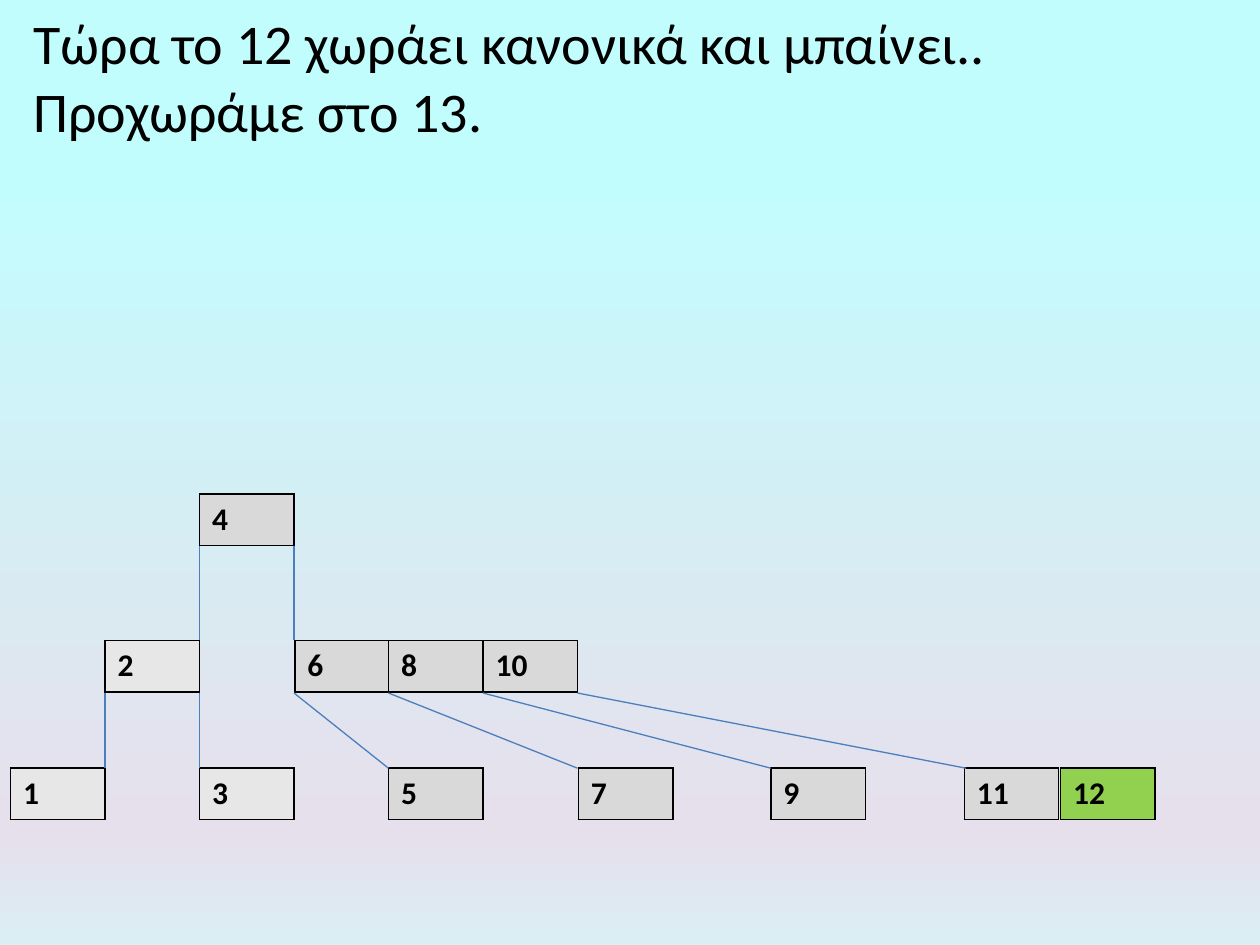
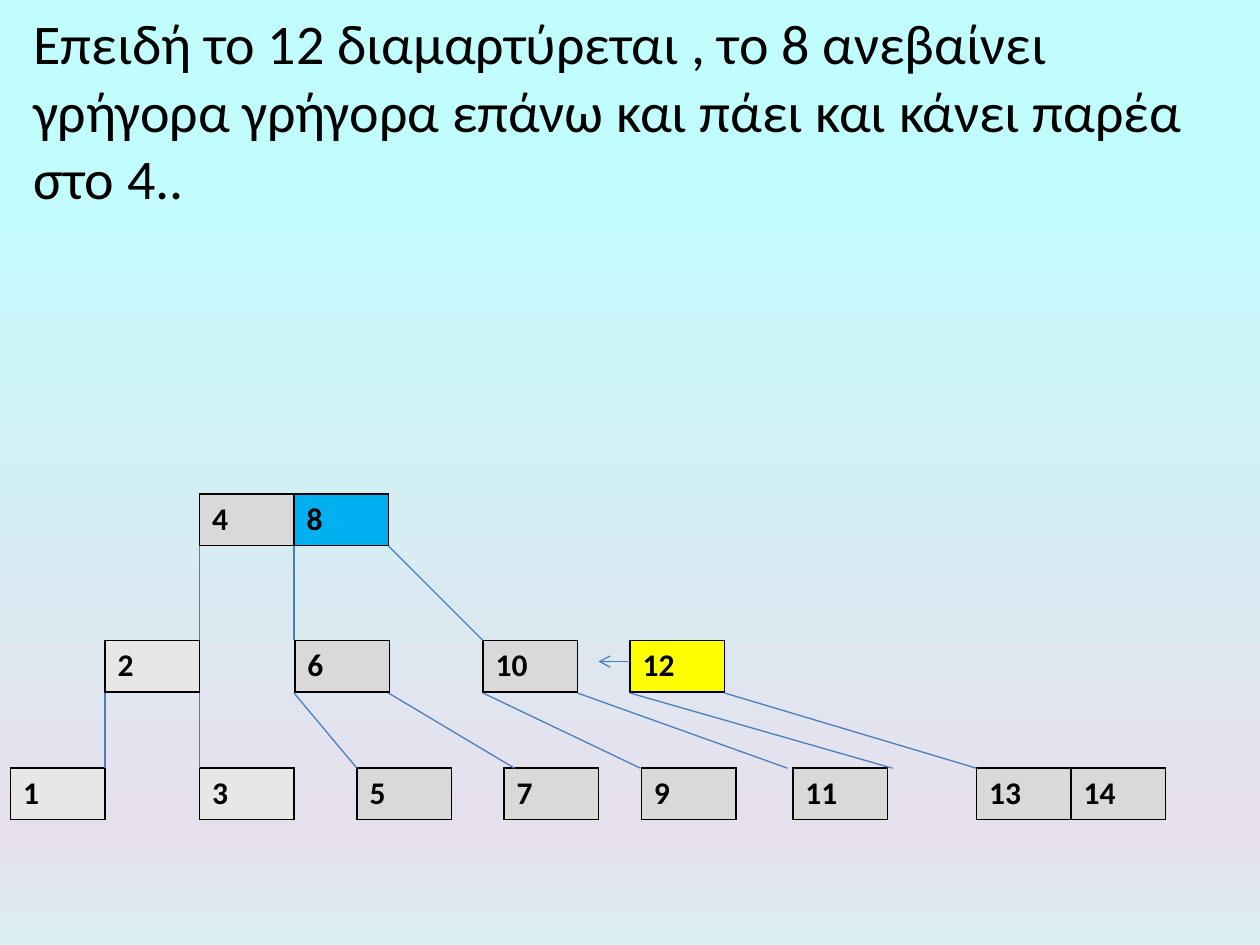
from copy import deepcopy

from pptx import Presentation
from pptx.dml.color import RGBColor
from pptx.enum.shapes import MSO_CONNECTOR
from pptx.enum.text import MSO_AUTO_SIZE
from pptx.oxml.ns import qn
from pptx.oxml.xmlchemy import OxmlElement
from pptx.util import Pt

STRAIGHT = MSO_CONNECTOR.STRAIGHT
FIT_SHAPE = MSO_AUTO_SIZE.SHAPE_TO_FIT_TEXT

FONT = "Calibri"
INK, LINK = "000000", "4B7EBC"
PALE, GREY, GREEN, BLUE, YELLOW = "E7E7E7", "D9D9D9", "92D050", "00B0F0", "FFFF00"
BACKDROP = [(0.17, "C2FDFE"), (0.88, "E6E0EC"), (1, "DBEEF4")]

KEY_W, KEY_H = 54, 29.5
LEVEL_TOPS = {"root": 282.25, "middle": 366, "leaf": 438.75}
LINK_SPANS = {"root": (312, 366), "middle": (396, 439)}
ARROW_Y = 378

SHARED_KEYS = [
    ("middle", 2, 60, PALE), ("leaf", 3, 114, PALE), ("leaf", 1, 6, PALE),
    ("root", 4, 114, GREY), ("middle", 6, 168.5, GREY), ("middle", 10, 276, GREY),
]
SHARED_LINKS = [
    ("root", 114, 114), ("root", 168, 168), ("middle", 60, 60), ("middle", 114, 114),
]
STEPS = [
    {
        "story": ["Τώρα το 12 χωράει κανονικά και μπαίνει..", "Προχωράμε στο 13."],
        "story_height": 85,
        "keys": [
            ("leaf", 5, 222, GREY), ("leaf", 7, 330.5, GREY), ("middle", 8, 222, GREY),
            ("leaf", 9, 440.5, GREY), ("leaf", 11, 551, GREY), ("leaf", 12, 606, GREEN),
        ],
        "links": [
            ("middle", 168, 222), ("middle", 222, 330),
            ("middle", 276, 440.5), ("middle", 330, 552),
        ],
        "arrows": [],
    },
    {
        "story": ["Επειδή το 12 διαμαρτύρεται , το 8 ανεβαίνει γρήγορα γρήγορα "
                  "επάνω και πάει και κάνει παρέα στο 4.."],
        "story_height": 124,
        "keys": [
            ("leaf", 5, 204, GREY), ("leaf", 7, 288, GREY), ("root", 8, 168, BLUE),
            ("leaf", 9, 366.5, GREY), ("leaf", 11, 453, GREY), ("middle", 12, 360, YELLOW),
            ("leaf", 13, 558, GREY), ("leaf", 14, 612, GREY),
        ],
        "links": [
            ("root", 222, 276), ("middle", 168, 204), ("middle", 222, 294),
            ("middle", 276, 366), ("middle", 330, 450),
            ("middle", 360, 510), ("middle", 414, 558),
        ],
        "arrows": [(360, 342)],
    },
]


def rgb(code):
    return RGBColor.from_string(code)


def child(parent, tag, **attributes):
    element = OxmlElement(tag)
    for name, value in attributes.items():
        element.set(name, value)
    parent.append(element)
    return element


def paint_backdrop(master):
    fill = master.background.fill
    fill.gradient()
    fill.gradient_angle = 270
    stop_list = master.element.find(".//" + qn("a:gsLst"))
    stop_list.append(deepcopy(stop_list[0]))
    for stop, (position, color) in zip(fill.gradient_stops, BACKDROP):
        stop.position = position
        stop.color.rgb = rgb(color)


def write(paragraph, text, size, bold=False):
    run = paragraph.add_run()
    run.text = text
    run.font.name = FONT
    run.font.size = Pt(size)
    run.font.bold = bold
    run.font.color.rgb = rgb(INK)


def add_story(slide, lines, height):
    frame = slide.shapes.add_textbox(Pt(12), Pt(1.5), Pt(696), Pt(height)).text_frame
    frame.word_wrap = True
    frame.auto_size = FIT_SHAPE
    for number, line in enumerate(lines):
        paragraph = frame.add_paragraph() if number else frame.paragraphs[0]
        write(paragraph, line, 32)


def add_key(slide, level, value, left, color):
    table = slide.shapes.add_table(
        1, 1, Pt(left), Pt(LEVEL_TOPS[level]), Pt(KEY_W), Pt(KEY_H)).table
    table.first_row = table.horz_banding = False
    cell = table.cell(0, 0)
    properties = cell._tc.get_or_add_tcPr()
    for side in ("a:lnL", "a:lnR", "a:lnT", "a:lnB"):
        border = child(properties, side, w=str(Pt(1)))
        child(child(border, "a:solidFill"), "a:srgbClr", val=INK)
    cell.fill.solid()
    cell.fill.fore_color.rgb = rgb(color)
    write(cell.text_frame.paragraphs[0], str(value), 18, bold=True)


def add_link(slide, x1, y1, x2, y2, arrow=False):
    link = slide.shapes.add_connector(STRAIGHT, Pt(x1), Pt(y1), Pt(x2), Pt(y2))
    link.line.color.rgb = rgb(LINK)
    link.line.width = Pt(0.75)
    if arrow:
        child(link.line._get_or_add_ln(), "a:tailEnd", type="arrow")
    child(link._element.spPr, "a:effectLst")


def add_step(prs, step):
    slide = prs.slides.add_slide(prs.slide_layouts[6])
    for key in SHARED_KEYS + step["keys"]:
        add_key(slide, *key)
    for level, parent_x, child_x in SHARED_LINKS + step["links"]:
        top, bottom = LINK_SPANS[level]
        add_link(slide, parent_x, top, child_x, bottom)
    for start, end in step["arrows"]:
        add_link(slide, start, ARROW_Y, end, ARROW_Y, arrow=True)
    add_story(slide, step["story"], step["story_height"])


def main():
    prs = Presentation()
    prs.slide_width, prs.slide_height = Pt(720), Pt(540)
    paint_backdrop(prs.slide_master)
    for step in STEPS:
        add_step(prs, step)
    prs.save("out.pptx")


if __name__ == "__main__":
    main()
